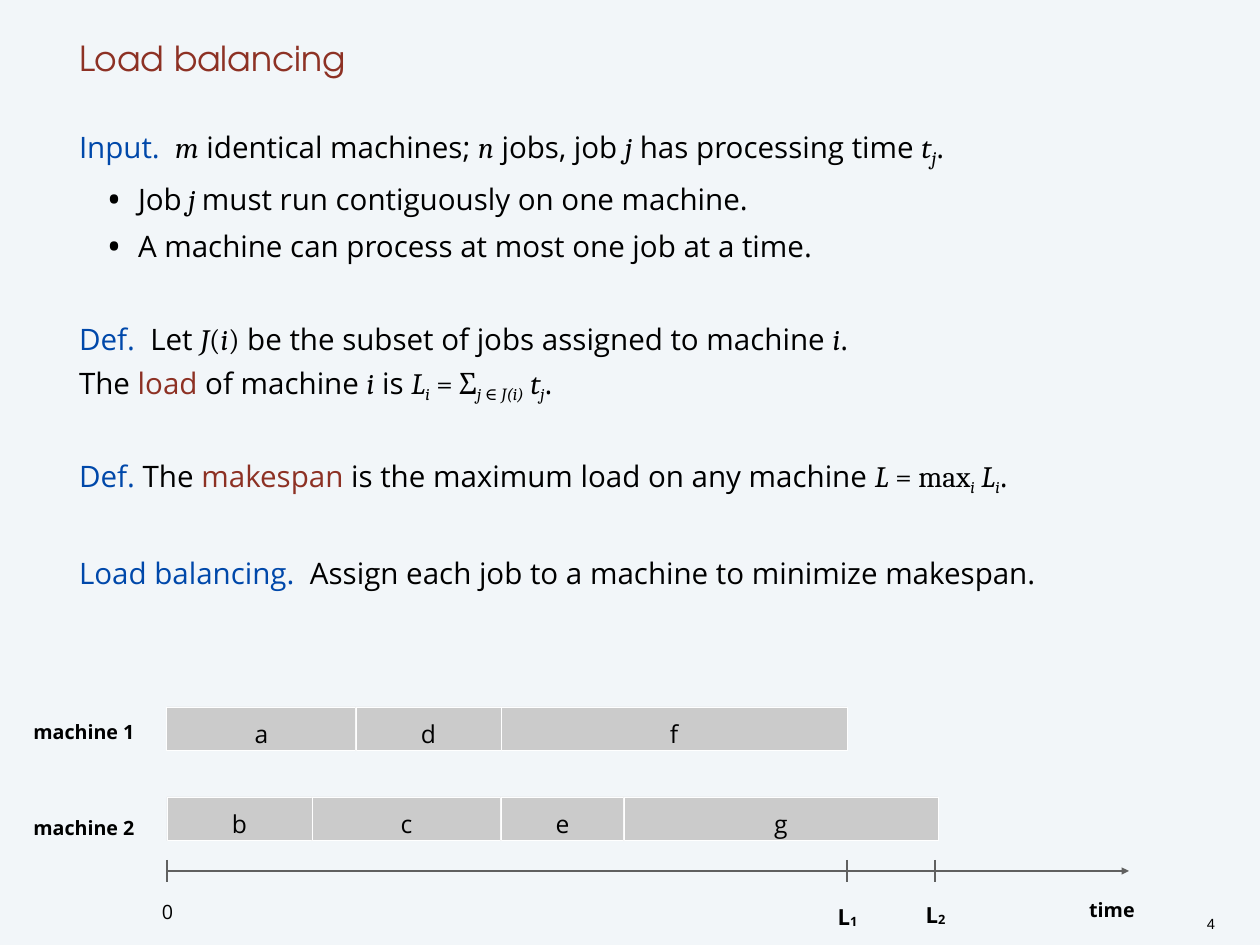
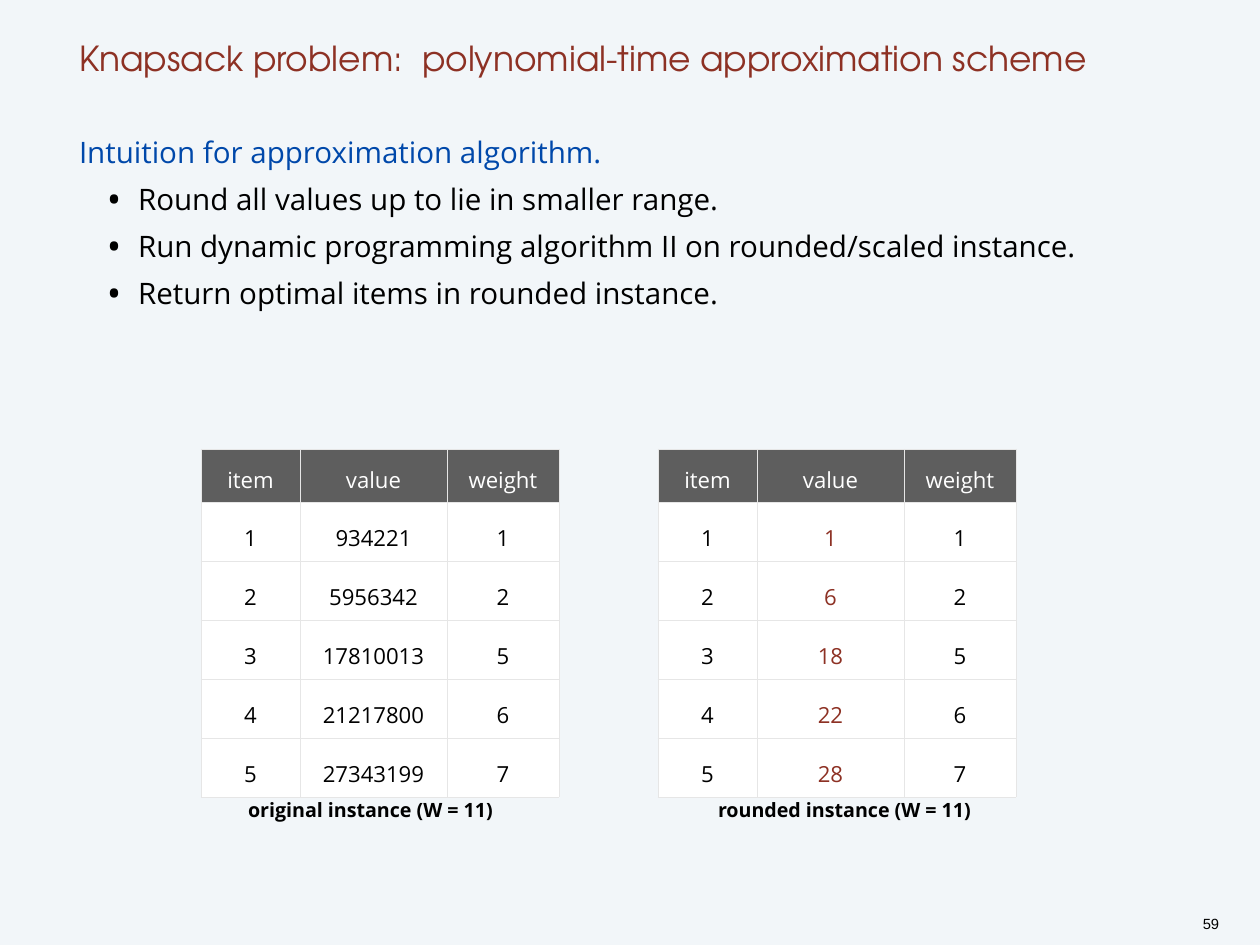
from dataclasses import dataclass
from itertools import accumulate
from typing import NamedTuple

from lxml.etree import SubElement
from pptx import Presentation
from pptx.dml.color import RGBColor
from pptx.enum.shapes import MSO_CONNECTOR, MSO_SHAPE
from pptx.enum.text import MSO_ANCHOR as Anchor, PP_ALIGN as Align
from pptx.oxml.ns import qn
from pptx.util import Pt

SCALE = 10320  # EMU in one px
PAGE_SIZE = (1260, 945)
BACKGROUND, BLACK, WHITE = "F2F6F9", "000000", "FFFFFF"
RED, BLUE = "8D3124", "0048AA"
BAR, AXIS, HEADER, GRID = "CBCBCB", "606060", "5E5E5E", "E6E6E6"
SANS, SERIF, TITLE_FONT = "Open Sans", "Cambria", "TeX Gyre Adventor"
BODY_LINE = Pt(38)


class Rect(NamedTuple):
    left: int
    top: int
    width: int
    height: int


@dataclass
class Span:
    text: str
    color: str = BLACK
    font: str = SANS
    size: int = 24
    bold: bool = False
    italic: bool = False
    baseline: int = 0


@dataclass
class Para:
    spans: list[Span]
    bullet: bool = False
    gap: bool = False


@dataclass
class Machine:
    name: str
    label_top: int
    jobs: dict[str, int]


@dataclass
class Mark:
    spans: list[Span]
    x: int
    top: int


@dataclass
class Instance:
    caption: str
    caption_left: int
    table_left: int
    values: list[int]
    value_color: str


def px(length: int) -> int:
    return length * SCALE


def rgb(color: str) -> RGBColor:
    return RGBColor.from_string(color)


def math(text: str) -> Span:
    return Span(text, font=SERIF, italic=True)


def upright(text: str) -> Span:
    return Span(text, font=SERIF)


def sub(text: str, size: int = 24, italic: bool = True) -> Span:
    return Span(text, font=SERIF, size=size, italic=italic, baseline=-20)


def bold(text: str, size: int = 16, baseline: int = 0) -> Span:
    return Span(text, size=size, bold=True, baseline=baseline)


def write_spans(para, spans: list[Span]) -> None:
    for span in spans:
        if span.text == "\n":
            para.add_line_break()
            continue
        run = para.add_run()
        run.text = span.text
        font = run.font
        font.name, font.size = span.font, Pt(span.size)
        font.bold, font.italic = span.bold, span.italic
        font.color.rgb = rgb(span.color)
        if span.baseline:
            run._r.get_or_add_rPr().set("baseline", str(span.baseline * 1000))


def set_text(frame, spans: list[Span], *, align=Align.CENTER, spacing=1.3, anchor=Anchor.TOP) -> None:
    """Fill a text frame that has no insets with one paragraph."""
    frame.word_wrap = True
    frame.vertical_anchor = anchor
    frame.margin_left = frame.margin_right = frame.margin_top = frame.margin_bottom = 0
    para = frame.paragraphs[0]
    para.alignment, para.line_spacing = align, spacing
    write_spans(para, spans)


def add_text(page, rect: Rect, spans: list[Span], **layout):
    box = page.shapes.add_textbox(*map(px, rect))
    set_text(box.text_frame, spans, **layout)
    return box


def add_bullet(para) -> None:
    para.level = 1
    properties = para._p.get_or_add_pPr()
    properties.set("marL", str(px(59)))
    properties.set("indent", str(px(-31)))
    SubElement(properties, qn("a:buSzPct"), val="130000")
    SubElement(properties, qn("a:buFont"), typeface=SANS)
    SubElement(properties, qn("a:buChar"), char="•")


def add_page(deck, title: str, number: int, body: list[Para]):
    """Add a slide with its title, body text and page number."""
    page = deck.slides.add_slide(deck.slide_layouts[6])
    add_text(page, Rect(79, 0, 1102, 78), [Span(title, RED, TITLE_FONT, 28)],
             align=Align.LEFT, spacing=BODY_LINE, anchor=Anchor.BOTTOM)
    frame = add_text(page, Rect(79, 123, 1102, 792), body[0].spans,
                     align=Align.LEFT, spacing=BODY_LINE).text_frame
    for item in body[1:]:
        para = frame.add_paragraph()
        para.line_spacing = BODY_LINE
        if item.gap:
            para.space_before = BODY_LINE
        if item.bullet:
            add_bullet(para)
        write_spans(para, item.spans)
    add_text(page, Rect(1191, 915, 40, 17), [Span(str(number), font="Arial", size=12)], spacing=Pt(14))
    return page


def add_line(page, start: tuple[int, int], end: tuple[int, int], width: float, arrow: bool = False) -> None:
    line = page.shapes.add_connector(MSO_CONNECTOR.STRAIGHT, *map(px, start + end))
    line.line.color.rgb = rgb(AXIS)
    line.line.width = Pt(width)
    if arrow:
        SubElement(line.line._get_or_add_ln(), qn("a:tailEnd"), type="triangle")
    SubElement(line._element.spPr, qn("a:effectLst"))


def add_job(page, rect: Rect, name: str) -> None:
    bar = page.shapes.add_shape(MSO_SHAPE.RECTANGLE, *map(px, rect))
    bar.shadow.inherit = False
    bar.fill.solid()
    bar.fill.fore_color.rgb = rgb(BAR)
    bar.line.color.rgb = rgb(WHITE)
    bar.line.width = Pt(0.75)
    set_text(bar.text_frame, [Span(name, size=20)], anchor=Anchor.MIDDLE)


def add_schedule(page, machines: list[Machine], marks: list[Mark]) -> None:
    origin, first_top, pitch, axis_y = 167, 707, 90, 871
    for index, machine in enumerate(machines):
        lefts = accumulate(machine.jobs.values(), initial=origin)
        for left, (name, width) in zip(lefts, machine.jobs.items()):
            add_job(page, Rect(left, first_top + index * pitch, width, 44), name)
        add_text(page, Rect(24, machine.label_top, 120, 22), [bold(machine.name)])
    add_line(page, (origin, axis_y), (1129, axis_y), 2, arrow=True)
    add_text(page, Rect(1022, 891, 180, 22), [bold("time")])
    for mark in marks:
        add_line(page, (mark.x, axis_y - 11), (mark.x, axis_y + 11), 1.25)
        add_text(page, Rect(mark.x - 33, mark.top, 67, 26), mark.spans)


def fill_cell(cell, text: str, color: str, fill: str, margin: int) -> None:
    properties = cell._tc.get_or_add_tcPr()
    for side in ("lnL", "lnR", "lnT", "lnB"):
        border = SubElement(properties, qn(f"a:{side}"), w=str(Pt(0.75)))
        SubElement(SubElement(border, qn("a:solidFill")), qn("a:srgbClr"), val=GRID)
    cell.fill.solid()
    cell.fill.fore_color.rgb = rgb(fill)
    cell.vertical_anchor = Anchor.MIDDLE
    cell.margin_left = cell.margin_right = cell.margin_top = cell.margin_bottom = px(margin)
    para = cell.text_frame.paragraphs[0]
    para.alignment, para.line_spacing = Align.CENTER, 1.3
    write_spans(para, [Span(text, color, size=18)])


def add_instance(page, instance: Instance, weights: list[int]) -> None:
    """Add the item table of a knapsack instance and its caption."""
    widths = (99, 147, 112)
    rows = list(zip(range(1, len(weights) + 1), instance.values, weights))
    heights = [53] + [59] * len(rows)
    rect = Rect(instance.table_left, 449, sum(widths), sum(heights))
    table = page.shapes.add_table(len(heights), len(widths), *map(px, rect)).table
    table.horz_banding = False
    for column, width in zip(table.columns, widths):
        column.width = px(width)
    for table_row, height in zip(table.rows, heights):
        table_row.height = px(height)
    for index, name in enumerate(("item", "value", "weight")):
        fill_cell(table.cell(0, index), name, WHITE, HEADER, 5)
    for row_index, row in enumerate(rows, start=1):
        for index, (value, color) in enumerate(zip(row, (BLACK, instance.value_color, BLACK))):
            fill_cell(table.cell(row_index, index), str(value), color, WHITE, 12)
    add_text(page, Rect(instance.caption_left, 791, 341, 22), [bold(instance.caption)])


LOAD_BALANCING = [
    Para([Span("Input.  ", BLUE), math("m"), Span(" identical machines; "), math("n"),
          Span(" jobs, job "), math("j"), Span(" has processing time "), math("t"),
          sub("j", size=28), Span(".")]),
    Para([Span("Job"), math(" j "), Span("must run contiguously on one machine.")], bullet=True),
    Para([Span("A machine can process at most one job at a time.")], bullet=True),
    Para([Span("Def.  ", BLUE), Span("Let "), math("J"), upright("("), math("i"), upright(")"),
          Span(" be the subset of jobs assigned to machine "), math("i"), Span("."), Span("\n"),
          Span("The "), Span("load", RED), Span(" of machine "), math("i"), Span(" is "),
          math("L"), sub("i"), upright(" = Σ"), sub("j"), sub(" ∈ ", italic=False), sub("J(i)"),
          math(" t"), sub("j"), Span(".")], gap=True),
    Para([Span("Def. ", BLUE), Span("The "), Span("makespan", RED),
          Span(" is the maximum load on any machine "), math("L"), upright(" = max"), sub("i"),
          math(" L"), sub("i"), Span(".")], gap=True),
    Para([Span("Load balancing.  ", BLUE),
          Span("Assign each job to a machine to minimize makespan.")], gap=True),
]
MACHINES = [
    Machine("machine 1", 713, {"a": 189, "d": 145, "f": 346}),
    Machine("machine 2", 809, {"b": 145, "c": 189, "e": 123, "g": 314}),
]
MARKS = [
    Mark([Span("0", size=16)], 167, 893),
    Mark([bold("L", 18), bold("1", 18, -6)], 847, 895),
    Mark([bold("L", 18), bold("2", 18, -6)], 935, 893),
]
KNAPSACK = [
    Para([Span("Intuition for approximation algorithm.", BLUE)]),
    Para([Span("Round all values up to lie in smaller range.")], bullet=True),
    Para([Span("Run dynamic programming algorithm II on rounded/scaled instance.")], bullet=True),
    Para([Span("Return optimal items in rounded instance.")], bullet=True),
]
WEIGHTS = [1, 2, 5, 6, 7]
INSTANCES = [
    Instance("original instance (W = 11)", 200, 201,
             [934221, 5956342, 17810013, 21217800, 27343199], BLACK),
    Instance("rounded instance (W = 11)", 674, 658, [1, 6, 18, 22, 28], RED),
]


def main() -> None:
    deck = Presentation()
    deck.slide_width, deck.slide_height = map(px, PAGE_SIZE)
    background = deck.slide_master.background.fill
    background.solid()
    background.fore_color.rgb = rgb(BACKGROUND)

    page = add_page(deck, "Load balancing", 4, LOAD_BALANCING)
    add_schedule(page, MACHINES, MARKS)

    page = add_page(deck, "Knapsack problem:  polynomial-time approximation scheme", 59, KNAPSACK)
    for instance in INSTANCES:
        add_instance(page, instance, WEIGHTS)
    deck.save("out.pptx")


if __name__ == "__main__":
    main()
